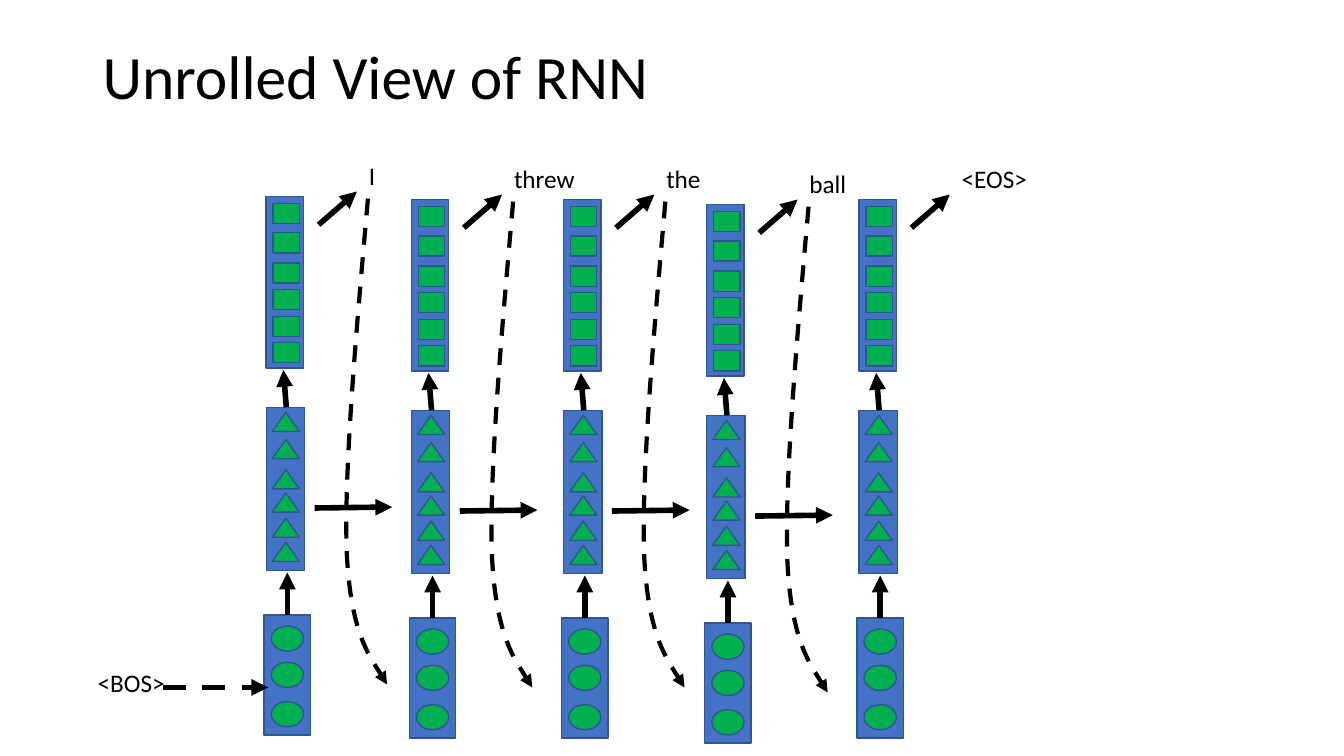
from lxml.etree import SubElement
from pptx import Presentation
from pptx.dml.color import RGBColor
from pptx.enum.dml import MSO_LINE
from pptx.enum.shapes import MSO_CONNECTOR, MSO_SHAPE
from pptx.enum.text import MSO_ANCHOR, MSO_AUTO_SIZE
from pptx.oxml.ns import qn
from pptx.util import Inches, Pt

BLACK, BLUE, GREEN, EDGE = "000000", "4472C4", "00B050", "325491"

STEPS = [
    ("I", 0.27, 0, 0),
    ("threw", 0.81, 1.44, 0.03),
    ("the", 0.55, 2.95, 0.03),
    ("ball", 0.57, 4.37, 0.08),
    ("<EOS>", 0.86, 5.88, 0.03),
]

LAYERS = [
    ((2.64, 4.04, 0.38, 1.62), MSO_SHAPE.ISOSCELES_TRIANGLE, 2.7, (0.27, 0.19),
     [4.09, 4.36, 4.66, 4.89, 5.14, 5.38]),
    ((2.64, 1.95, 0.37, 1.7), MSO_SHAPE.RECTANGLE, 2.71, (0.26, 0.2),
     [2.02, 2.31, 2.61, 2.87, 3.14, 3.4]),
    ((2.62, 6.1, 0.46, 1.19), MSO_SHAPE.OVAL, 2.69, (0.32, 0.25),
     [6.21, 6.57, 6.96]),
]

STEP_ARROWS = [
    ((2.85, 6.1), (2.85, 5.68)),
    ((2.84, 4.04), (2.81, 3.67)),
    ((3.16, 2.23), (3.54, 1.9)),
]
STATE_ARROW = ((3.12, 5.04), (3.89, 5.03))
FEEDBACK = [(3.65, 1.97), (3.53, 3.33), (3.41, 4.69), (3.44, 5.49),
            (3.48, 6.3), (3.84, 6.79), (3.84, 6.79)]


def color(value):
    return RGBColor.from_string(value)


def assign(target, values):
    for name, value in values.items():
        setattr(target, name, value)


class Diagram:
    font = "Calibri"

    def __init__(self, slide):
        self.slide = slide
        self.shapes = slide.shapes

    def start_group(self):
        self.shapes = self.slide.shapes.add_group_shape().shapes

    def end_group(self):
        self.shapes = self.slide.shapes

    def text(self, text, box, size=18, frame_format=None, spacing=None):
        frame = self.shapes.add_textbox(*map(Inches, box)).text_frame
        assign(frame, frame_format or {
            "word_wrap": False, "auto_size": MSO_AUTO_SIZE.SHAPE_TO_FIT_TEXT})
        paragraph = frame.paragraphs[0]
        paragraph.line_spacing = spacing
        run = paragraph.add_run()
        run.text = text
        assign(run.font, {"name": self.font, "size": Pt(size)})
        run.font.color.rgb = color(BLACK)

    def block(self, kind, box, fill):
        shape = self.shapes.add_shape(kind, *map(Inches, box))
        shape.shadow.inherit = False
        shape.fill.solid()
        shape.fill.fore_color.rgb = color(fill)
        shape.line.color.rgb = color(EDGE)
        shape.line.width = Pt(1)

    def arrow_line(self, line, width, dash):
        line.color.rgb = color(BLACK)
        assign(line, {"width": Pt(width), "dash_style": dash})
        SubElement(line._get_or_add_ln(), qn("a:tailEnd"), type="triangle")

    def arrow(self, start, end, dash=None):
        connector = self.shapes.add_connector(
            MSO_CONNECTOR.STRAIGHT, *map(Inches, start + end))
        self.arrow_line(connector.line, 4, dash)
        SubElement(connector._element.spPr, qn("a:effectLst"))

    def curve(self, points):
        start, *rest = [tuple(map(Inches, point)) for point in points]
        builder = self.shapes.build_freeform(*start)
        builder.add_line_segments(rest, close=False)
        shape = builder.convert_to_shape()
        shape.shadow.inherit = False
        shape.fill.background()
        self.arrow_line(shape.line, 3, MSO_LINE.DASH)
        outline = next(shape._element.iter(qn("a:path")))
        segments = outline.findall(qn("a:lnTo"))
        for first in range(0, len(segments), 3):
            bezier = SubElement(outline, qn("a:cubicBezTo"))
            for segment in segments[first:first + 3]:
                bezier.append(segment[0])
                outline.remove(segment)

    def time_step(self, word, word_width, dx, dy, has_next):
        def moved(*points):
            return [(x + dx, y + dy) for x, y in points]

        self.start_group()
        self.text(word, (3.56 + dx, 1.54 + dy, word_width, 0.4))
        for (left, top, width, height), kind, unit_left, unit_size, tops in LAYERS:
            self.block(MSO_SHAPE.RECTANGLE,
                       (left + dx, top + dy, width, height), BLUE)
            for unit_top in tops:
                self.block(kind, (unit_left + dx, unit_top + dy, *unit_size), GREEN)
        for ends in STEP_ARROWS + [STATE_ARROW] * has_next:
            self.arrow(*moved(*ends))
        if has_next:
            self.curve(moved(*FEEDBACK))
        self.end_group()


def main():
    presentation = Presentation()
    assign(presentation, {"slide_width": Inches(13.33), "slide_height": Inches(7.5)})
    slide = presentation.slides.add_slide(presentation.slide_layouts[6])
    diagram = Diagram(slide)
    diagram.text("Unrolled View of RNN", (0.92, 0.4, 11.5, 0.78), 44,
                 {"word_wrap": True, "vertical_anchor": MSO_ANCHOR.MIDDLE}, 0.9)
    for step in STEPS:
        diagram.time_step(*step, has_next=step is not STEPS[-1])
    diagram.text("<BOS>", (0.87, 6.57, 0.87, 0.4))
    diagram.arrow((1.62, 6.82), (2.66, 6.82), MSO_LINE.DASH)
    presentation.save("out.pptx")


if __name__ == "__main__":
    main()
